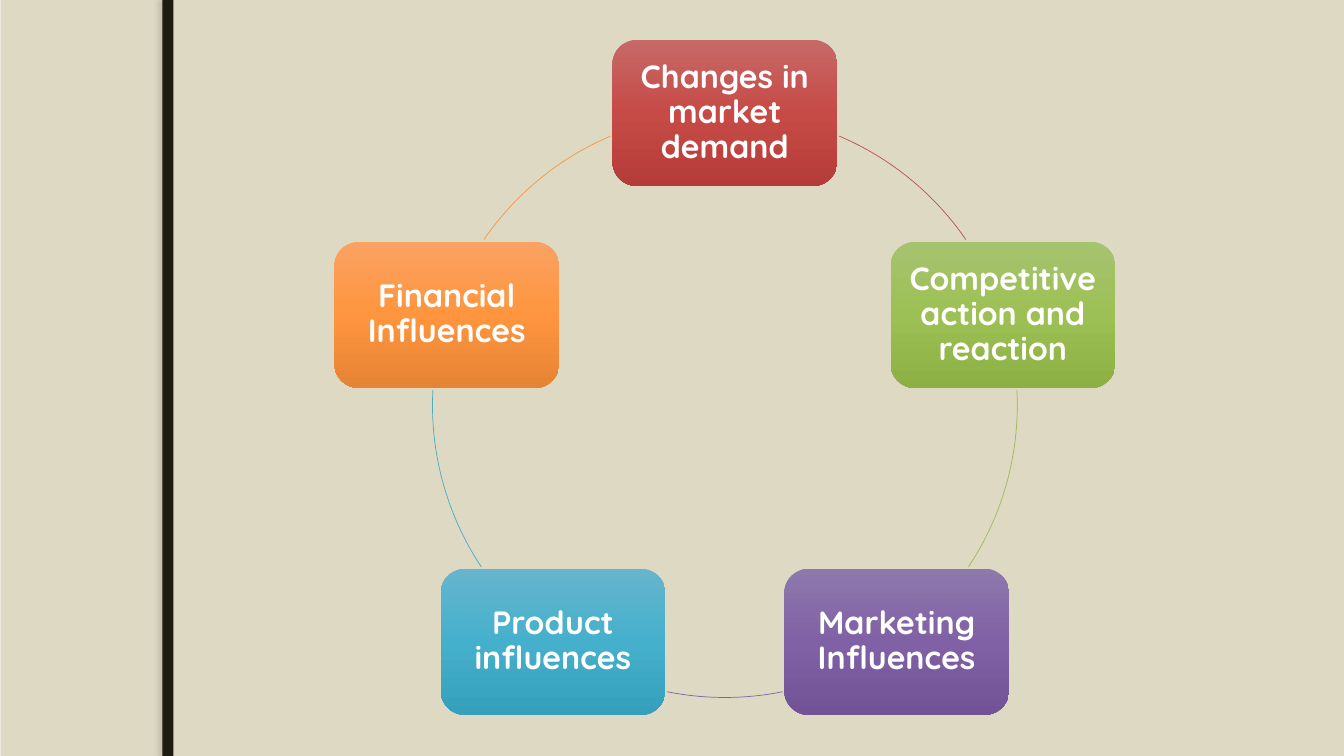
from copy import deepcopy
from dataclasses import dataclass
from math import cos, radians, sin

from lxml.etree import SubElement
from pptx import Presentation
from pptx.dml.color import RGBColor
from pptx.enum.shapes import MSO_SHAPE as Shape
from pptx.enum.text import MSO_ANCHOR as Anchor, PP_ALIGN as Align
from pptx.oxml.ns import qn
from pptx.util import Inches, Pt


@dataclass(frozen=True)
class Theme:
    background: str = "EEECE1"
    panel: str = "DDD9C3"
    bar: str = "1E1C11"
    bar_shadow: str = "77756F"
    text: str = "FFFFFF"
    font: str = "Quicksand"
    text_size: float = 23
    arc_width: float = 0.5


# Label, gradient from top to bottom, arc colour, arc start and end in degrees
INFLUENCES = [
    ("Changes in market demand", ("C76967", "C64B47", "B63C39"), "C0504D", 293, 325.5),
    ("Competitive action and reaction", ("A6C36F", "9DC054", "8DB045"), "9BBB59", 357, 33.6),
    ("Marketing Influences", ("8E78AC", "8061A5", "715396"), "8064A2", 78.6, 101.4),
    ("Product influences", ("66B5CD", "45B0CC", "36A0BC"), "4BACC6", 146.4, 183),
    ("Financial Influences", ("FAA263", "FF953E", "E58435"), "F79646", 214.5, 247),
]
CENTER_X, CENTER_Y, RADIUS = 7.19, 4.02, 2.9
BOX_WIDTH, BOX_HEIGHT, BOX_MARGIN = 2.23, 1.45, 0.08


def color(value):
    return RGBColor.from_string(value)


def apply_format(target, values):
    for name, value in values.items():
        setattr(target, name, value)


class SlideBuilder:
    def __init__(self, slide, theme):
        self.slide = slide
        self.theme = theme

    def background(self):
        fill = self.slide.background.fill
        fill.solid()
        fill.fore_color.rgb = color(self.theme.background)

    def add_shape(self, kind, left, top, width, height):
        shape = self.slide.shapes.add_shape(
            kind, Inches(left), Inches(top), Inches(width), Inches(height))
        shape.shadow.inherit = False
        return shape

    def rectangle(self, left, top, width, height, fill):
        shape = self.add_shape(Shape.RECTANGLE, left, top, width, height)
        shape.fill.solid()
        shape.fill.fore_color.rgb = color(fill)
        shape.line.fill.background()
        return shape

    def left_shadow(self, shape, shade):
        effects = shape.element.spPr.find(qn("a:effectLst"))
        shadow = SubElement(effects, qn("a:outerShdw"), blurRad=str(Pt(3)),
                            dist=str(Pt(3)), dir="10800000", rotWithShape="0")
        shadow_color = SubElement(shadow, qn("a:srgbClr"), val=shade)
        SubElement(shadow_color, qn("a:alpha"), val="25000")

    def gradient(self, shape, colors):
        shape.fill.gradient()
        shape.fill.gradient_angle = 270
        first_stop = shape.element.xpath(".//a:gs")[0]
        first_stop.addnext(deepcopy(first_stop))
        for index, stop in enumerate(shape.fill.gradient_stops):
            stop.position = index / 2
            stop.color.rgb = color(colors[index])

    def box(self, center_x, center_y, label, colors):
        shape = self.add_shape(
            Shape.ROUNDED_RECTANGLE, center_x - BOX_WIDTH / 2,
            center_y - BOX_HEIGHT / 2, BOX_WIDTH, BOX_HEIGHT)
        self.gradient(shape, colors)
        shape.line.fill.background()
        frame = shape.text_frame
        margins = ("margin_left", "margin_top", "margin_right", "margin_bottom")
        apply_format(frame, dict.fromkeys(margins, Inches(BOX_MARGIN)))
        apply_format(frame, {"word_wrap": True, "vertical_anchor": Anchor.MIDDLE})
        paragraph = frame.paragraphs[0]
        apply_format(paragraph, {"text": label, "alignment": Align.CENTER,
                                 "line_spacing": 0.9})
        font = paragraph.runs[0].font
        apply_format(font, {"name": self.theme.font, "bold": True,
                            "size": Pt(self.theme.text_size)})
        font.color.rgb = color(self.theme.text)

    def arc(self, start, end, line_color):
        shape = self.add_shape(Shape.ARC, CENTER_X - RADIUS, CENTER_Y - RADIUS,
                               2 * RADIUS, 2 * RADIUS)
        # One adjustment unit is 100000 and one degree is 60000
        for index, angle in enumerate((start, end)):
            shape.adjustments[index] = angle * 0.6
        shape.fill.background()
        shape.line.color.rgb = color(line_color)
        shape.line.width = Pt(self.theme.arc_width)


def main():
    presentation = Presentation()
    apply_format(presentation, {"slide_width": Inches(13.33),
                                "slide_height": Inches(7.5)})
    theme = Theme()
    slide = presentation.slides.add_slide(presentation.slide_layouts[6])
    builder = SlideBuilder(slide, theme)

    # Background panel and vertical bar
    builder.background()
    builder.rectangle(0.01, 0, 13.32, 7.5, theme.panel)
    bar = builder.rectangle(1.61, 0, 0.11, 7.5, theme.bar)
    builder.left_shadow(bar, theme.bar_shadow)

    # Cycle of influences, clockwise from the top
    for index, (label, colors, line_color, start, end) in enumerate(INFLUENCES):
        angle = radians(index * 360 / len(INFLUENCES) - 90)
        builder.box(CENTER_X + RADIUS * cos(angle),
                    CENTER_Y + RADIUS * sin(angle), label, colors)
        builder.arc(start, end, line_color)

    presentation.save("out.pptx")


if __name__ == "__main__":
    main()
